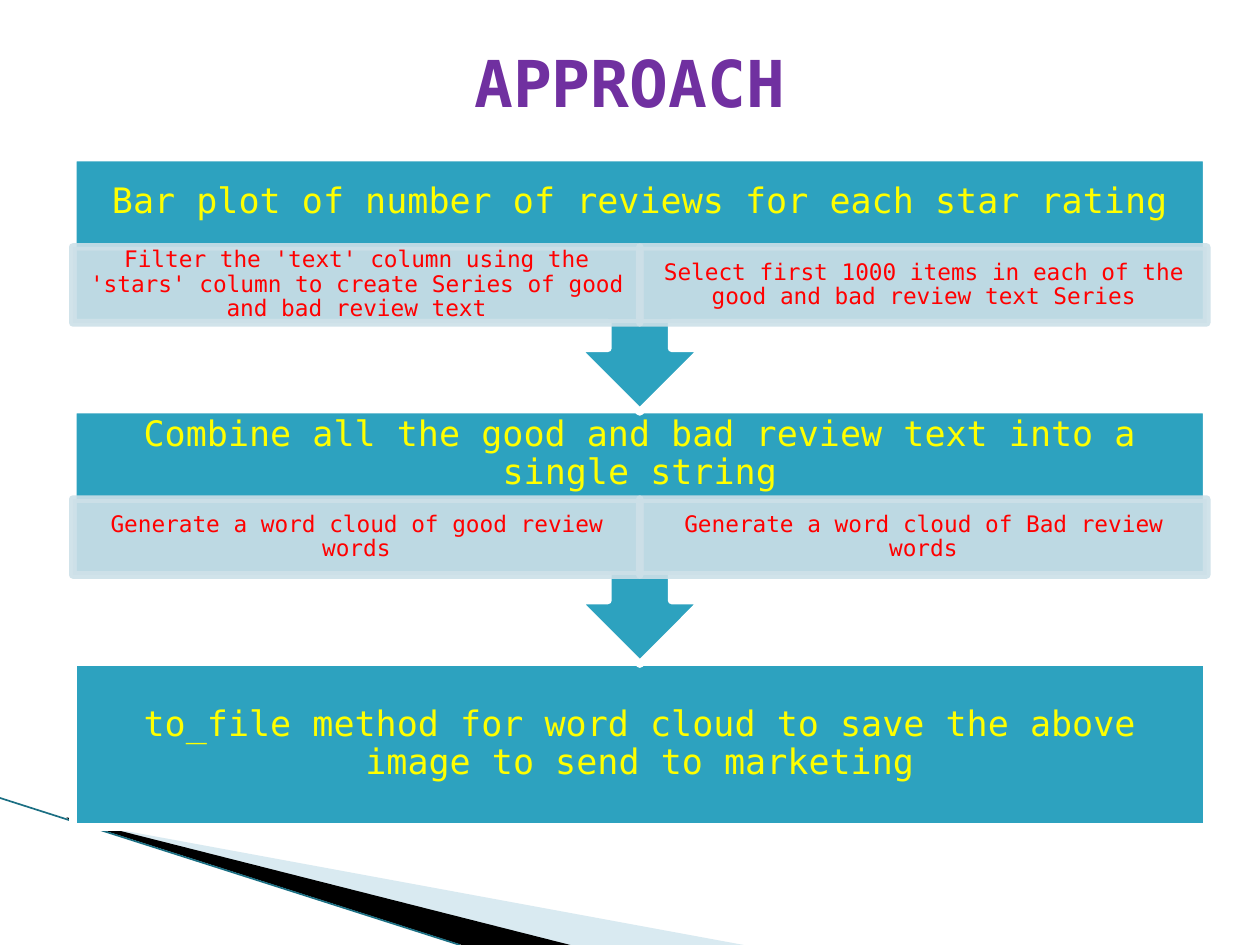
from lxml import etree
from pptx import Presentation
from pptx.dml.color import RGBColor
from pptx.enum.shapes import MSO_CONNECTOR, MSO_SHAPE
from pptx.enum.text import MSO_ANCHOR, PP_ALIGN
from pptx.oxml.ns import qn
from pptx.util import Pt

RECT, CALLOUT = MSO_SHAPE.RECTANGLE, MSO_SHAPE.DOWN_ARROW_CALLOUT
STRAIGHT = MSO_CONNECTOR.STRAIGHT
MIDDLE, CENTER = MSO_ANCHOR.MIDDLE, PP_ALIGN.CENTER
FONT = "DejaVu Sans Mono"

# Content: each step has a heading and its details
TITLE = "APPROACH"
STEPS = [
    ("Bar plot of number of reviews for each star rating",
     ["Filter the 'text' column using the 'stars' column to create "
      "Series of good and bad review text",
      "Select first 1000 items in each of the good and bad review text Series"]),
    ("Combine all the good and bad review text into a single string",
     ["Generate a word cloud of good review words",
      "Generate a word cloud of Bad review words"]),
    ("to_file method for word cloud to save the above image to send to marketing",
     []),
]
WEDGES = [
    ([(39.6, 468), (39.6, 468.7), (424.8, 540), (325.4, 540)], "A0CBDC", 40),
    ([(38.2, 467.3), (326, 540), (263.5, 540), (38.9, 468)], "000000", 100),
]

# Layout in points
LEFT, TOP, WIDTH, PITCH = 41.6, 90, 648, 144.1
CALL_H, LAST_H, HEAD_H, LEAF_H = 145.4, 94.5, 51.1, 43.4
BOX_H = CALL_H * 0.65


def color(code):
    return RGBColor.from_string(code)


def fade(fill, code, alpha):
    fill.solid()
    fill.fore_color.rgb = color(code)
    if alpha < 100:
        tag = fill.fore_color._xFill.find(qn("a:srgbClr"))
        etree.SubElement(tag, qn("a:alpha")).set("val", str(alpha * 1000))


def write(shape, text, size, code, bold=False, space=0.9, pad=(0, 0, 0, 0)):
    frame = shape.text_frame
    frame.word_wrap = True
    frame.vertical_anchor = MIDDLE
    (frame.margin_left, frame.margin_top,
     frame.margin_right, frame.margin_bottom) = map(Pt, pad)
    para = frame.paragraphs[0]
    para.alignment = CENTER
    para.line_spacing = space
    run = para.add_run()
    run.text = text
    run.font.name, run.font.size, run.font.bold = FONT, Pt(size), bold
    run.font.color.rgb = color(code)


def block(kind, box, fill, line, alpha=100):
    shape = slide.shapes.add_shape(kind, *map(Pt, box))
    shape.shadow.inherit = False
    fade(shape.fill, fill, alpha)
    fade(shape.line.fill, line, alpha)
    shape.line.width = Pt(4.33)
    return shape


deck = Presentation()
deck.slide_width, deck.slide_height = Pt(720), Pt(540)
slide = deck.slides.add_slide(deck.slide_layouts[5])

# Title
title = slide.shapes.title
title.left, title.top, title.width, title.height = map(Pt, (36, 21.6, 648, 50.4))
write(title, TITLE, 36.9, "7030A0", bold=True, space=1.0)

# Corner wedges and line
for points, code, alpha in WEDGES:
    path = slide.shapes.build_freeform(*points[0], scale=Pt(1))
    path.add_line_segments(points[1:])
    wedge = path.convert_to_shape()
    wedge.shadow.inherit = False
    fade(wedge.fill, code, alpha)
    wedge.line.fill.background()
edge = slide.shapes.add_connector(STRAIGHT, *map(Pt, (0, 456, 262.8, 540)))
edge.line.color.rgb = color("1B6F83")
edge.line.width = Pt(0.95)
etree.SubElement(edge._element.spPr, qn("a:effectLst"))

# Steps, from the bottom up so that each arrow tip lies over the next step
for row, (head, leaves) in reversed(list(enumerate(STEPS))):
    top = TOP + row * PITCH
    kind, height = (CALLOUT, CALL_H) if leaves else (RECT, LAST_H)
    under = BOX_H - HEAD_H if leaves else 0
    step = block(kind, (LEFT, top, WIDTH, height), "2DA2BF", "FFFFFF")
    write(step, head, 20, "FFFF00", pad=(11.5, 0, 11.5, under))
    for col, text in enumerate(leaves):
        wide = WIDTH / len(leaves)
        leaf = block(RECT, (LEFT + col * wide, top + HEAD_H, wide, LEAF_H),
                     "CDE0E8", "CDE0E8", 90)
        write(leaf, text, 13, "FF0000", pad=(7.2, 1.4, 7.2, 1.4))

deck.save("out.pptx")
